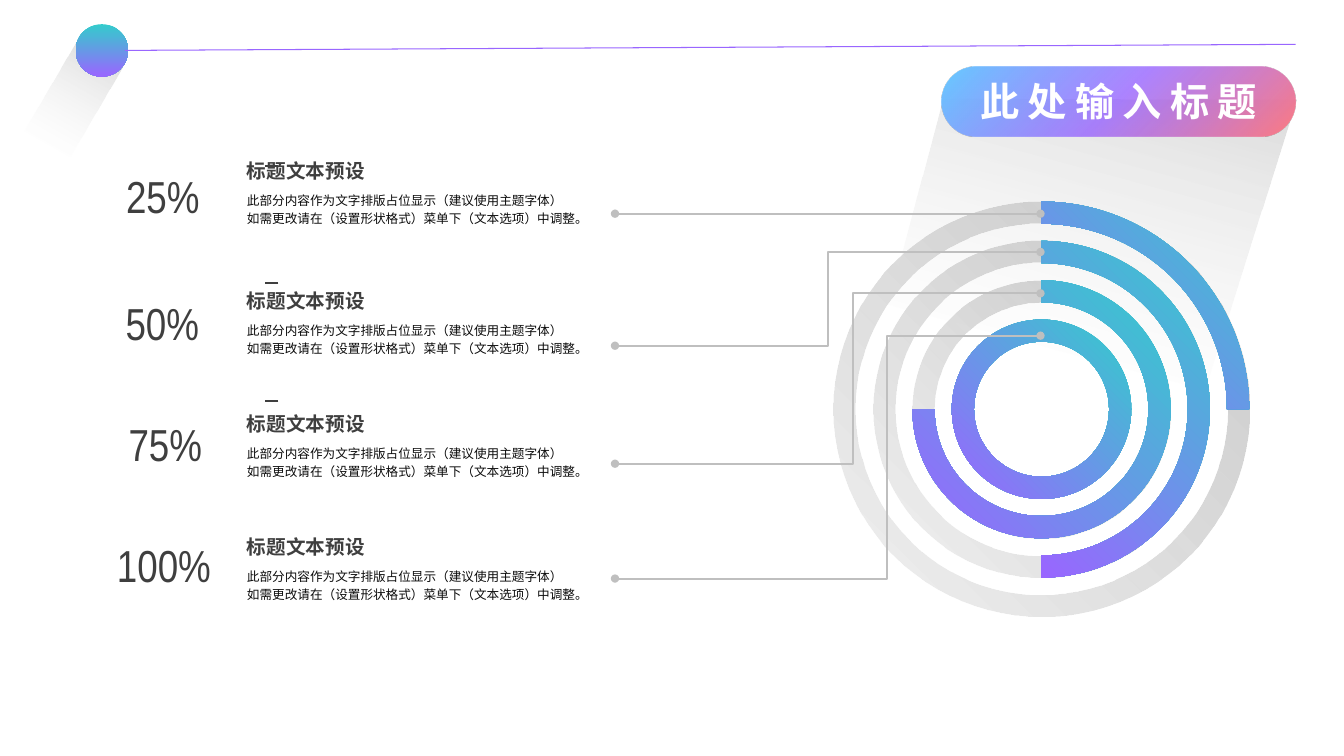
from math import cos, pi, sin

from lxml import etree
from pptx import Presentation
from pptx.dml.color import RGBColor
from pptx.enum.shapes import MSO_CONNECTOR, MSO_SHAPE
from pptx.enum.text import MSO_ANCHOR, MSO_AUTO_SIZE, PP_ALIGN
from pptx.oxml.ns import qn
from pptx.util import Inches, Pt

RECT, OVAL = MSO_SHAPE.RECTANGLE, MSO_SHAPE.OVAL
ROUND, DONUT = MSO_SHAPE.ROUNDED_RECTANGLE, MSO_SHAPE.DONUT
STRAIGHT, ELBOW = MSO_CONNECTOR.STRAIGHT, MSO_CONNECTOR.ELBOW
TOP, MIDDLE = MSO_ANCHOR.TOP, MSO_ANCHOR.MIDDLE
CENTER, FIXED = PP_ALIGN.CENTER, MSO_AUTO_SIZE.NONE

WHITE = RGBColor(0xFF, 0xFF, 0xFF)
PALE = RGBColor(0xF2, 0xF2, 0xF2)
GREY = RGBColor(0xBF, 0xBF, 0xBF)
DARK = RGBColor(0x3F, 0x3F, 0x3F)
INK = RGBColor(0x0C, 0x0C, 0x0C)
TEAL = RGBColor(0x33, 0xCC, 0xCC)
VIOLET = RGBColor(0x99, 0x66, 0xFF)
SKY = RGBColor(0x66, 0xCC, 0xFF)
CORAL = RGBColor(0xFF, 0x7C, 0x80)

# Gradient stops: position, colour, opacity (all in percent)
FADE = [(0, GREY, 70), (100, WHITE, 0)]
TRACK = [(0, GREY, 80), (100, PALE, 100)]
GLOW = [(0, TEAL, 100), (100, VIOLET, 100)]
PILL = [(0, SKY, 100), (50, VIOLET, 80), (100, CORAL, 100)]

TITLE = "此处输入标题"
HEAD = "标题文本预设"
BODY = ("此部分内容作为文字排版占位显示（建议使用主题字体）\v"
        "如需更改请在（设置形状格式）菜单下（文本选项）中调整。")
# Share, label width, label middle, heading top, link y at ring and at text, bend
ROWS = [
    (0.25, 0.78, 1.94, 1.58, 2.12, 2.12, None),
    (0.50, 0.79, 3.20, 2.87, 2.50, 3.43, 0.5),
    (0.75, 0.73, 4.40, 4.09, 2.91, 4.60, 0.44),
    (1.00, 0.96, 5.60, 5.31, 3.33, 5.74, 0.36),
]
DASHES = [1.65, 2.81, 3.98]
CAST = [(9.14, 1.4), (12.53, 0.5), (12.39, 3.51), (9.14, 3.51)]
BANNER = (9.34, 0.66, 3.51, 0.69)
MID_X, MID_Y = 10.33, 4.06
OUTER, STEP, BAND = 2.06, 0.39, 0.22
LABEL_X, TEXT_X, LINK_X, HUB_X = 1.64, 2.45, 6.1, 10.32
TEXT_W, HEAD_H, BODY_H, LABEL_H = 3.44, 0.24, 0.48, 0.54

BIG = dict(size=Pt(32), name="Arial Narrow", color=DARK)
BOLD = dict(size=Pt(14), name="Arial", color=DARK, bold=True)
SMALL = dict(size=Pt(9), name="Arial", color=INK)
WORDS = dict(size=Pt(28), name="Arial", color=WHITE, bold=True)

deck = Presentation()
deck.slide_width, deck.slide_height = Inches(13.33), Inches(7.5)
slide = deck.slides.add_slide(deck.slide_layouts[5])
shapes = slide.shapes


def style(font, form):
    for key, value in form.items():
        if key == "color":
            font.color.rgb = value
        else:
            setattr(font, key, value)


def blend(shape, stops, angle):
    """Fill with a linear gradient and drop outline and shadow."""
    shape.shadow.inherit = False
    shape.fill.background()
    shape.line.fill.background()
    props = shape._element.spPr
    grad = etree.Element(qn("a:gradFill"), rotWithShape="1")
    group = etree.SubElement(grad, qn("a:gsLst"))
    for pos, color, alpha in stops:
        stop = etree.SubElement(group, qn("a:gs"), pos=str(pos * 1000))
        tint = etree.SubElement(stop, qn("a:srgbClr"), val=str(color))
        etree.SubElement(tint, qn("a:alpha"), val=str(alpha * 1000))
    etree.SubElement(grad, qn("a:lin"), ang=str(angle * 60000), scaled="0")
    props.replace(props.find(qn("a:noFill")), grad)


def add_form(kind, x, y, w, h, stops, angle):
    shape = shapes.add_shape(kind, *map(Inches, (x, y, w, h)))
    blend(shape, stops, angle)
    return shape


def add_outline(points, stops, angle):
    first, *rest = [(Inches(x), Inches(y)) for x, y in points]
    pen = shapes.build_freeform(*first)
    pen.add_line_segments(rest)
    shape = pen.convert_to_shape()
    blend(shape, stops, angle)
    return shape


def add_link(start, end, color, width, kind=STRAIGHT, bend=None, dots=False):
    link = shapes.add_connector(kind, *map(Inches, start + end))
    link.line.color.rgb, link.line.width = color, Pt(width)
    props = link._element.spPr
    if dots:
        for tag in ("a:headEnd", "a:tailEnd"):
            etree.SubElement(props.find(qn("a:ln")), qn(tag), type="oval")
    if bend:
        geom = props.find(qn("a:prstGeom"))
        guide = etree.SubElement(geom.find(qn("a:avLst")), qn("a:gd"))
        guide.set("name", "adj1")
        guide.set("fmla", f"val {round(bend * 100000)}")
    etree.SubElement(props, qn("a:effectLst"))


def add_text(text, x, y, w, h, form, anchor=MIDDLE, wrap=False, space=None):
    frame = shapes.add_textbox(*map(Inches, (x, y, w, h))).text_frame
    for side in ("left", "top", "right", "bottom"):
        setattr(frame, "margin_" + side, 0)
    frame.word_wrap, frame.vertical_anchor = wrap, anchor
    para = frame.paragraphs[0]
    para.text, para.line_spacing = text, space
    for run in para.runs:
        style(run.font, form)


def add_title():
    add_form(ROUND, *BANNER, PILL, 45).adjustments[0] = 0.5
    title = shapes.title
    for side, value in zip(("left", "top", "width", "height"), BANNER):
        setattr(title, side, Inches(value))
    frame = title.text_frame
    frame.text = TITLE
    frame.auto_size, frame.vertical_anchor, frame.word_wrap = FIXED, MIDDLE, True
    para = frame.paragraphs[0]
    para.alignment = CENTER
    style(para.runs[0].font, WORDS)
    para.runs[0]._r.get_or_add_rPr().set("spc", "600")
    shapes._spTree.append(title._element)


def add_ring(radius, stops):
    size = 2 * radius
    ring = add_form(DONUT, MID_X - radius, MID_Y - radius, size, size, stops, 135)
    ring.adjustments[0] = BAND / size


def add_arc(radius, share):
    """Draw a band clockwise from the top, one arc for each quarter turn."""
    count = round(share * 4)
    inner = radius - BAND
    rims = [(radius, q) for q in range(count + 1)]
    rims += [(inner, q) for q in range(count, -1, -1)]
    points = [(MID_X + r * sin(q * pi / 2), MID_Y - r * cos(q * pi / 2)) for r, q in rims]
    shape = add_outline(points, GLOW, 135)
    sides = list(shape._element.spPr.iter(qn("a:lnTo")))
    for i, side in enumerate(sides[:2 * count + 1]):
        if i == count:
            continue
        r, turn = (radius, 1) if i < count else (inner, -1)
        size, start = str(Inches(r)), (rims[i][1] - 1) * 90 % 360
        arc = etree.Element(qn("a:arcTo"), wR=size, hR=size,
                            stAng=str(start * 60000), swAng=str(turn * 90 * 60000))
        side.getparent().replace(side, arc)


add_form(RECT, 0, 0, 13.33, 7.5, [(0, WHITE, 50), (100, WHITE, 50)], 0)
add_form(RECT, 0.48, 0.43, 0.52, 1.07, FADE, 90).rotation = 30
add_form(OVAL, 0.75, 0.24, 0.52, 0.52, GLOW, 90)
add_link((1.24, 0.5), (12.85, 0.44), VIOLET, 0.75)
add_outline(CAST, FADE, 90).rotation = 15
add_title()

for y in DASHES:
    add_link((2.76, y), (2.63, y), DARK, 1.5)

for i, (share, *_) in enumerate(ROWS):
    radius = OUTER - i * STEP
    add_ring(radius, TRACK if share < 1 else GLOW)
    if share < 1:
        add_arc(radius, share)

for share, width, mid, top, ring_y, text_y, bend in ROWS:
    add_text(f"{share:.0%}", LABEL_X - width / 2, mid - LABEL_H / 2, width, LABEL_H, BIG)
    add_text(HEAD, TEXT_X, top, TEXT_W, HEAD_H, BOLD, TOP)
    add_text(BODY, TEXT_X, top + HEAD_H, TEXT_W, BODY_H, SMALL, wrap=True, space=1.2)
    add_link((HUB_X, ring_y), (LINK_X, text_y), GREY, 1.5,
             ELBOW if bend else STRAIGHT, bend, dots=True)

deck.save("out.pptx")
